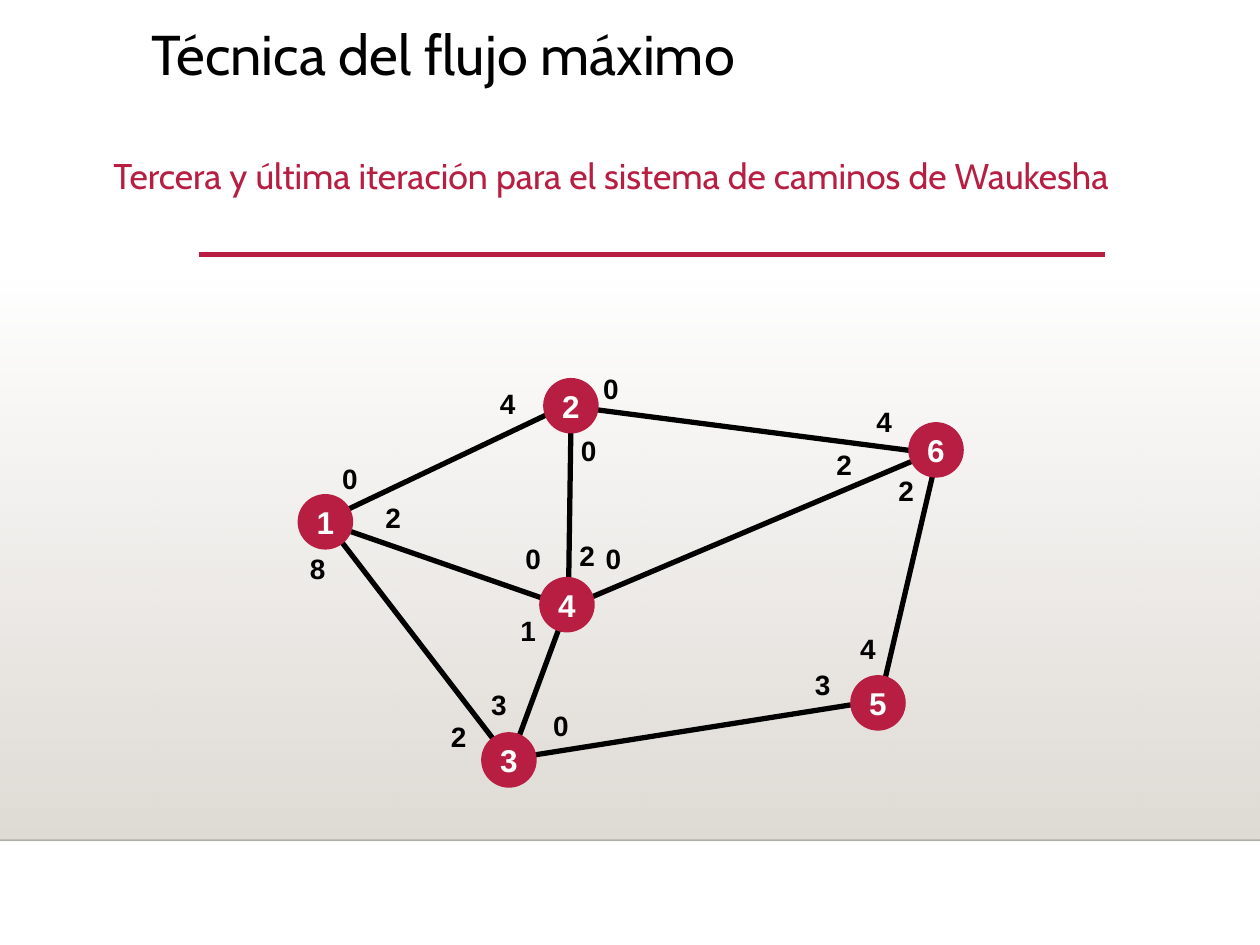
import pptx
import pptx.dml.color
import pptx.enum.dml
import pptx.enum.shapes
import pptx.enum.text
import pptx.oxml
import pptx.oxml.ns
import pptx.util

Cm = pptx.util.Cm
Pt = pptx.util.Pt
RGB = pptx.dml.color.RGBColor
ALIGN = pptx.enum.text.PP_ALIGN
ANCHOR = pptx.enum.text.MSO_ANCHOR
FIT = pptx.enum.text.MSO_AUTO_SIZE
SHAPE = pptx.enum.shapes.MSO_SHAPE
LINE = pptx.enum.shapes.MSO_CONNECTOR.STRAIGHT

RED = RGB(0xB7, 0x1E, 0x42)
BLACK = RGB(0, 0, 0)
WHITE = RGB(0xFF, 0xFF, 0xFF)
SAND = RGB(0xDF, 0xDB, 0xD5)

NODE = 1.12
NODES = {
    "1": (0, 2.59), "2": (4.95, 0.25), "3": (3.7, 7.39),
    "4": (4.87, 4.26), "5": (11.14, 6.24), "6": (12.31, 1.14),
}
EDGES = [
    ((0.73, 3.35), (4.13, 7.77), ("8", 0, 3.63), ("2", 2.84, 7.01)),
    ((4.64, 7.87), (11.4, 6.8), ("0", 4.9, 6.78), ("3", 10.18, 5.97)),
    ((4.41, 7.62), (5.35, 5.08), ("3", 3.65, 6.37), ("1", 4.24, 4.87)),
    ((5.68, 4.77), (12.57, 1.85), ("0", 5.96, 3.43), ("2", 10.61, 1.52)),
    ((5.79, 0.86), (12.8, 1.77), ("0", 5.91, 0), ("4", 11.42, 0.66)),
    ((0.65, 3.07), (5.4, 0.81), ("0", 0.65, 1.8), ("4", 3.83, 0.3)),
    ((11.81, 6.45), (12.85, 2), ("4", 11.09, 5.23), ("2", 11.86, 2.05)),
    ((0.71, 3.22), (5.4, 4.85), ("2", 1.52, 2.59), ("0", 4.34, 3.43)),
    ((5.46, 4.62), (5.51, 1.14), ("2", 5.43, 3.37), ("0", 5.46, 1.24)),
]


def write(shape, text, size, color, font="Arial", bold=False,
          align=ALIGN.LEFT, anchor=ANCHOR.TOP, wrap=False, fit=FIT.NONE,
          space=1.0):
    """Put one formatted paragraph into a shape."""
    frame = shape.text_frame
    frame.text = text
    frame.word_wrap = wrap
    frame.auto_size = fit
    frame.vertical_anchor = anchor
    para = frame.paragraphs[0]
    para.alignment = align
    para.line_spacing = space
    para.font.name = font
    para.font.size = Pt(size)
    para.font.bold = bold
    para.font.color.rgb = color


def fade(color, share):
    """Set the opacity of a colour element in percent."""
    alpha = pptx.oxml.ns.qn("a:alpha")
    color.makeelement(alpha, {})
    item = color.makeelement(alpha, {"val": str(share * 1000)})
    color.append(item)


def stroke(shapes, start, end, color, width):
    """Draw a straight line between two points in centimetres."""
    line = shapes.add_connector(LINE, *map(Cm, start + end))
    line.line.color.rgb = color
    line.line.width = Pt(width)
    props = line._element.spPr
    props.append(props.makeelement(pptx.oxml.ns.qn("a:effectLst"), {}))
    return line


def panel(slide, x, y, w, h):
    """Draw the shaded backdrop and its lower edge."""
    back = slide.shapes.add_shape(SHAPE.RECTANGLE, Cm(x), Cm(y), Cm(w), Cm(h))
    back.shadow.inherit = False
    back.line.fill.background()
    back.fill.gradient()
    back.fill.gradient_angle = 270
    for stop, place in zip(back.fill.gradient_stops, (0, 1)):
        stop.color.rgb = SAND
        stop.position = place
    tint = pptx.oxml.ns.qn("a:srgbClr")
    fade(next(back._element.spPr.iter(tint)), 0)
    edge = stroke(slide.shapes, (x, y + h), (x + w, y + h), BLACK, 1)
    fade(next(edge._element.spPr.iter(tint)), 20)


def header(slide, x, y, w, h):
    """Place the title, the subtitle and the rule below them."""
    title = slide.shapes.title
    title.left, title.top = Cm(x + 1.27), Cm(y)
    title.width, title.height = Cm(18.26), Cm(2.92)
    write(title, "Técnica del flujo máximo", 32, BLACK, font="Cabin",
          wrap=True, space=0.9)
    sub = slide.shapes.add_textbox(Cm(x), Cm(y + 2.56), Cm(21.6), Cm(2))
    write(sub, "Tercera y última iteración para el sistema de caminos de "
          "Waukesha", 20.4, RED, font="Cabin", wrap=True, align=ALIGN.CENTER)
    stroke(slide.shapes, (x + 2.49, y + h), (x + w, y + h), RED, 2.5)


def graph(slide, x, y):
    """Draw the flow network with its edges, flows and nodes."""
    group = slide.shapes.add_group_shape().shapes
    for (ax, ay), (bx, by), *flows in EDGES:
        stroke(group, (x + ax, y + ay), (x + bx, y + by), BLACK, 3)
        for text, left, top in flows:
            box = group.add_textbox(Cm(x + left), Cm(y + top),
                                    Cm(0.81), Cm(0.94))
            write(box, text, 16, BLACK, bold=True, fit=FIT.SHAPE_TO_FIT_TEXT)
    for text, (left, top) in NODES.items():
        node = group.add_shape(SHAPE.OVAL, Cm(x + left), Cm(y + top),
                               Cm(NODE), Cm(NODE))
        node.shadow.inherit = False
        node.fill.solid()
        node.fill.fore_color.rgb = RED
        node.line.fill.background()
        write(node, text, 18, WHITE, bold=True, align=ALIGN.CENTER,
              anchor=ANCHOR.MIDDLE)


def main():
    """Build the slide and save it."""
    deck = pptx.Presentation()
    deck.slide_width, deck.slide_height = Cm(25.4), Cm(19.05)
    slide = deck.slides.add_slide(deck.slide_layouts[5])
    panel(slide, 0, 5.6, 25.4, 11.34)
    header(slide, 1.52, 0.41, 20.75, 4.72)
    graph(slide, 6, 7.37)
    deck.save("out.pptx")


if __name__ == "__main__":
    main()
